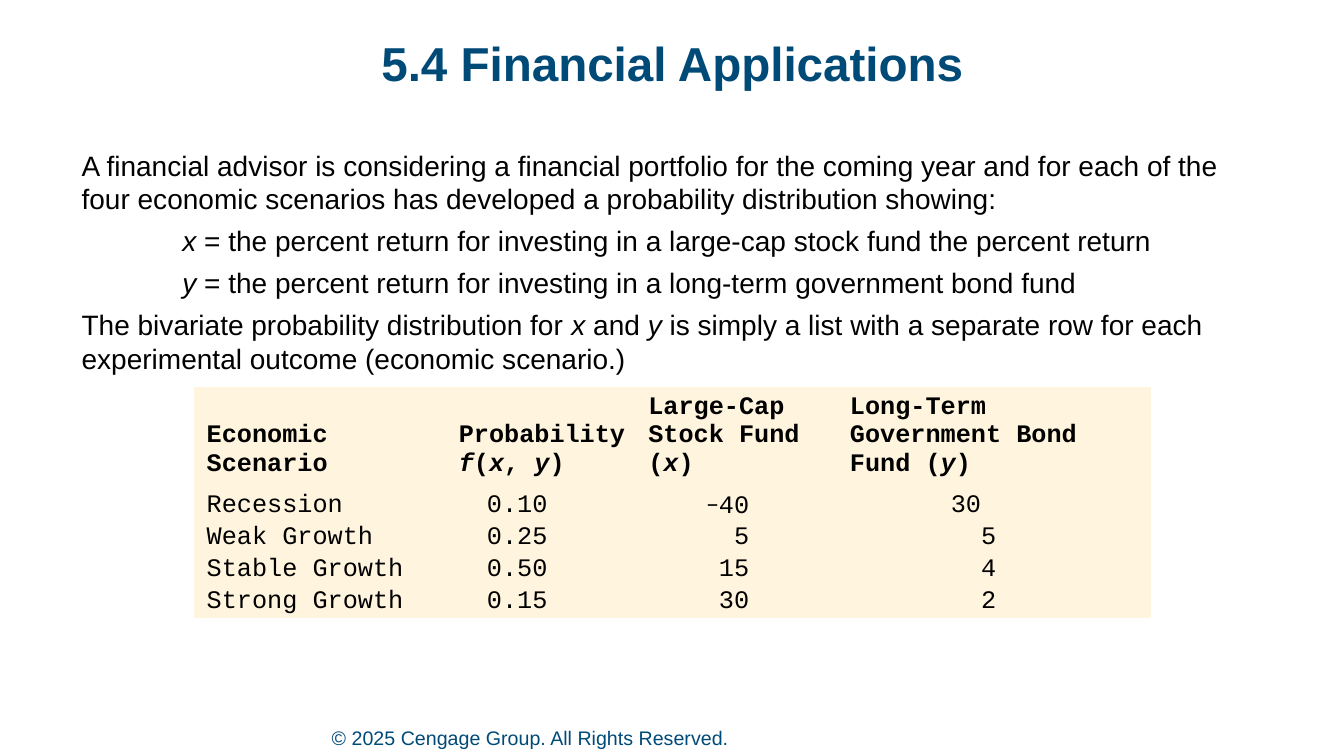
from pptx import Presentation
from pptx.dml.color import RGBColor
from pptx.enum.text import MSO_ANCHOR as Anchor, PP_ALIGN as Align
from pptx.oxml.ns import qn
from pptx.util import Inches, Pt
from lxml import etree

BLUE = RGBColor(0x00, 0x4A, 0x78)
BLACK = RGBColor(0x00, 0x00, 0x00)
CREAM = RGBColor(0xFF, 0xF4, 0xDE)
SANS, MONO, SYMBOL = "Arial", "Courier New", "Calibri"
PLAIN_TABLE = "{2D5ABB26-0587-4C30-8999-92F81FD0307C}"

TITLE = "5.4 Financial Applications"
COPYRIGHT = "© 2025 Cengage Group. All Rights Reserved."
BODY = [
    ("A financial advisor is considering a financial portfolio for the coming year and for each of "
     "the four economic scenarios has developed a probability distribution showing:", 0),
    ("*x* = the percent return for investing in a large-cap stock fund the percent return", 1),
    ("*y* = the percent return for investing in a long-term government bond fund", 1),
    ("The bivariate probability distribution for *x* and *y* is simply a list with a separate row "
     "for each experimental outcome (economic scenario.)", 0),
]
HEADERS = [
    ["Economic Scenario"],
    ["Probability", "*f*(*x*, *y*)"],
    ["Large-Cap", "Stock Fund (*x*)"],
    ["Long-Term Government Bond Fund (*y*)"],
]
SCENARIOS = [
    ("Recession", "0.10", "−40", "30"),
    ("Weak Growth", "0.25", "5", "5"),
    ("Stable Growth", "0.50", "15", "4"),
    ("Strong Growth", "0.15", "30", "2"),
]
COLUMN_WIDTHS = [2.5, 2, 2, 3]
COLUMN_INDENTS = [0.12, 0.12, 0, 0]
HEADER_HEIGHT, ROW_HEIGHT = 0.85, 0.32
NUMBER_STOPS = [None, 1, 1, 1.45]
FIRST_BOND_STOP = 1.3


def add_span(para, text, font, size, color, bold=False, italic=False):
    """Add one formatted run."""
    span = para.add_run()
    span.text = text
    span.font.name, span.font.size = font, Pt(size)
    span.font.bold, span.font.italic = bold, italic
    span.font.color.rgb = color


def add_marked(para, text, font, size, color, bold=False):
    """Add runs, with the parts between asterisks in italics."""
    for index, part in enumerate(text.split("*")):
        if part:
            add_span(para, part, font, size, color, bold, index % 2 == 1)


def set_indent(para, inches):
    """Set the left margin of a paragraph."""
    properties = para._p.get_or_add_pPr()
    properties.set("marL", str(Inches(inches)))
    properties.set("indent", "0")


def add_right_stop(para, inches):
    """Give a paragraph one right-aligned tab stop."""
    stops = etree.SubElement(para._p.get_or_add_pPr(), qn("a:tabLst"))
    etree.SubElement(stops, qn("a:tab"), pos=str(Inches(inches)), algn="r")


def prepare(frame, anchor, bottom=0):
    """Wrap a text frame and remove its margins."""
    frame.word_wrap = True
    frame.vertical_anchor = anchor
    frame.margin_left = frame.margin_right = frame.margin_top = 0
    frame.margin_bottom = Inches(bottom)


def add_box(page, left, top, width, height, anchor, bottom=0):
    """Add a text box and return its text frame."""
    box = page.shapes.add_textbox(Inches(left), Inches(top), Inches(width), Inches(height))
    prepare(box.text_frame, anchor, bottom)
    return box.text_frame


def next_para(frame, index):
    """Return the first paragraph or a new one."""
    return frame.add_paragraph() if index else frame.paragraphs[0]


def add_title(page):
    """Place and format the title."""
    title = page.shapes.title
    title.left, title.top = Inches(0.92), Inches(0.4)
    title.width, title.height = Inches(11.5), Inches(0.74)
    prepare(title.text_frame, Anchor.TOP)
    para = title.text_frame.paragraphs[0]
    para.alignment, para.line_spacing = Align.CENTER, 0.9
    add_span(para, TITLE, SANS, 34, BLUE, bold=True)


def add_body(page):
    """Add the explanatory text."""
    frame = add_box(page, 0.81, 1.47, 11.6, 2.37, Anchor.TOP)
    for index, (text, indent) in enumerate(BODY):
        para = next_para(frame, index)
        set_indent(para, indent)
        if index:
            para.space_before = Pt(6)
        add_marked(para, text, SANS, 20, BLACK)


def fill_cell(cell, anchor, bottom):
    """Format a table cell."""
    cell.fill.solid()
    cell.fill.fore_color.rgb = CREAM
    cell.vertical_anchor = anchor
    cell.margin_left = cell.margin_right = cell.margin_top = Inches(0.01)
    cell.margin_bottom = Inches(bottom)


def add_value(para, value, stop):
    """Add a number that ends at a tab stop."""
    add_right_stop(para, stop)
    if value.startswith("−"):
        add_span(para, "\t−", SYMBOL, 18, BLACK)
        add_span(para, value[1:], MONO, 18, BLACK)
    else:
        add_span(para, "\t" + value, MONO, 18, BLACK)


def add_distribution(page):
    """Add the probability distribution table."""
    heights = [HEADER_HEIGHT] + [ROW_HEIGHT] * len(SCENARIOS)
    table = page.shapes.add_table(
        len(heights), len(COLUMN_WIDTHS), Inches(1.92), Inches(3.84),
        Inches(sum(COLUMN_WIDTHS)), Inches(sum(heights))).table
    table.first_row = table.horz_banding = False
    table._tbl.tblPr.find(qn("a:tableStyleId")).text = PLAIN_TABLE
    for row, height in zip(table.rows, heights):
        row.height = Inches(height)
    for column, width in enumerate(COLUMN_WIDTHS):
        table.columns[column].width = Inches(width)
        header = table.cell(0, column)
        fill_cell(header, Anchor.BOTTOM, 0.1)
        for index, line in enumerate(HEADERS[column]):
            para = next_para(header.text_frame, index)
            set_indent(para, COLUMN_INDENTS[column])
            add_marked(para, line, MONO, 18, BLACK, bold=True)
        for row, scenario in enumerate(SCENARIOS, 1):
            cell = table.cell(row, column)
            fill_cell(cell, Anchor.MIDDLE, 0)
            para = cell.text_frame.paragraphs[0]
            if column == 0:
                set_indent(para, COLUMN_INDENTS[column])
                add_span(para, scenario[column], MONO, 18, BLACK)
            else:
                stop = FIRST_BOND_STOP if (row, column) == (1, 3) else NUMBER_STOPS[column]
                add_value(para, scenario[column], stop)


def main():
    """Build and save the slide."""
    deck = Presentation()
    deck.slide_width, deck.slide_height = Inches(13.33), Inches(7.5)
    page = deck.slides.add_slide(deck.slide_layouts[5])
    add_title(page)
    add_body(page)
    add_distribution(page)
    footer = add_box(page, 3.29, 7.19, 9.79, 0.29, Anchor.BOTTOM, 0.05)
    add_span(footer.paragraphs[0], COPYRIGHT, SANS, 14, BLUE)
    deck.save("out.pptx")


if __name__ == "__main__":
    main()
